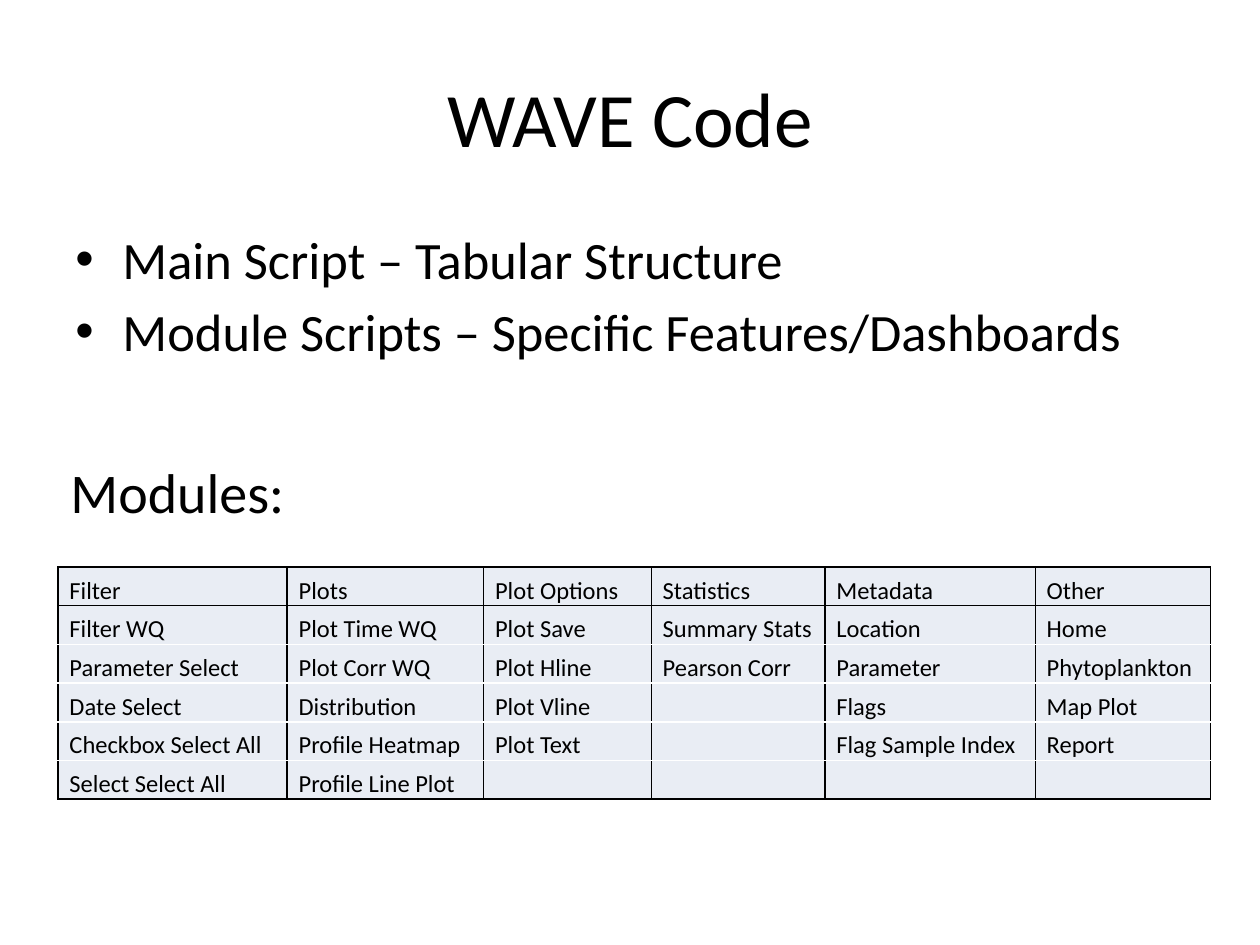
from lxml import etree
from pptx import Presentation
from pptx import util as u
from pptx.dml.color import RGBColor
from pptx.enum import text
from pptx.oxml.ns import qn

BLACK, WHITE, CELL_FILL = "000000", "FFFFFF", "E9EDF4"
FONT = "Calibri"

BULLETS = ["Main Script – Tabular Structure",
           "Module Scripts – Specific Features/Dashboards"]

# One entry per table column: heading and the modules under it
MODULES = {
    "Filter": ["Filter WQ", "Parameter Select", "Date Select",
               "Checkbox Select All", "Select Select All"],
    "Plots": ["Plot Time WQ", "Plot Corr WQ", "Distribution",
              "Profile Heatmap", "Profile Line Plot"],
    "Plot Options": ["Plot Save", "Plot Hline", "Plot Vline", "Plot Text"],
    "Statistics": ["Summary Stats", "Pearson Corr"],
    "Metadata": ["Location", "Parameter", "Flags", "Flag Sample Index"],
    "Other": ["Home", "Phytoplankton", "Map Plot", "Report"],
}
COLUMN_WIDTHS = [4.62, 3.96, 3.38, 3.5, 4.24, 3.53]
ROW_HEIGHT = 0.78


def color(value):
    return RGBColor.from_string(value)


def write(p, content, size, align=text.PP_ALIGN.LEFT, before=0, bullet=None, indent=0):
    """Fill a paragraph with one formatted run."""
    p.alignment = align
    p.space_before = u.Pt(before)
    pPr = p._p.get_or_add_pPr()
    if bullet:
        pPr.set("marL", str(u.Cm(indent)))
        pPr.set("indent", str(-u.Cm(indent)))
        etree.SubElement(pPr, qn("a:buFont"), typeface="Arial")
        etree.SubElement(pPr, qn("a:buChar"), char=bullet)
    if not content:
        etree.SubElement(p._p, qn("a:endParaRPr"), sz=str(size * 100))
        return
    r = p.add_run()
    r.text = content
    r.font.size = u.Pt(size)
    r.font.name = FONT
    r.font.color.rgb = color(BLACK)


def set_borders(cell, **sides):
    """Draw 1 pt cell borders; schema order is L, R, T, B before the fill."""
    tcPr = cell._tc.get_or_add_tcPr()
    for i, side in enumerate("LRTB"):
        ln = etree.Element(qn(f"a:ln{side}"), w=str(u.Pt(1)))
        fill = etree.SubElement(ln, qn("a:solidFill"))
        etree.SubElement(fill, qn("a:srgbClr"), val=sides[side])
        tcPr.insert(i, ln)


def add_title(slide, left, top, width, height):
    sp = slide.shapes.title
    sp.left, sp.top, sp.width, sp.height = map(u.Cm, (left, top, width, height))
    sp.text_frame.vertical_anchor = text.MSO_ANCHOR.MIDDLE
    write(sp.text_frame.paragraphs[0], "WAVE Code", 44, align=text.PP_ALIGN.CENTER)


def add_text(slide, left, top, width, height, lines, size, **fmt):
    sp = slide.shapes.add_textbox(*map(u.Cm, (left, top, width, height)))
    tf = sp.text_frame
    tf.word_wrap = True
    for i, line in enumerate(lines):
        p = tf.add_paragraph() if i else tf.paragraphs[0]
        write(p, line, size, **fmt)


def add_module_table(slide, left, top):
    rows = 1 + max(map(len, MODULES.values()))
    frame = slide.shapes.add_table(
        rows, len(MODULES), u.Cm(left), u.Cm(top),
        u.Cm(sum(COLUMN_WIDTHS)), u.Cm(rows * ROW_HEIGHT))
    table = frame.table
    table.first_row = table.horz_banding = False
    for row in table.rows:
        row.height = u.Cm(ROW_HEIGHT)
    for c, (heading, names) in enumerate(MODULES.items()):
        table.columns[c].width = u.Cm(COLUMN_WIDTHS[c])
        entries = [heading] + names
        entries += [""] * (rows - len(entries))
        for i, entry in enumerate(entries):
            cell = table.cell(i, c)
            cell.fill.solid()
            cell.fill.fore_color.rgb = color(CELL_FILL)
            cell.vertical_anchor = text.MSO_ANCHOR.BOTTOM
            cell.margin_left = u.Cm(0.23)
            cell.margin_right = cell.margin_top = u.Cm(0.02)
            cell.margin_bottom = 0
            write(cell.text_frame.paragraphs[0], entry, 14)
            # Black frame and heading rule, white rules between modules
            set_borders(cell, L=BLACK, R=BLACK,
                        T=BLACK if i <= 1 else WHITE,
                        B=BLACK if i in (0, rows - 1) else WHITE)


def main():
    prs = Presentation()
    prs.slide_width, prs.slide_height = u.Cm(25.4), u.Cm(19.05)
    slide = prs.slides.add_slide(prs.slide_layouts[5])
    add_title(slide, 1.27, 0.76, 22.86, 3.18)
    add_module_table(slide, 1.17, 11.43)
    add_text(slide, 1.17, 9.09, 8.05, 1.9, ["Modules:"], 32, before=6)
    add_text(slide, 1.27, 4.45, 22.86, 12.57, BULLETS, 30,
             before=5, bullet="•", indent=0.95)
    prs.save("out.pptx")


if __name__ == "__main__":
    main()
